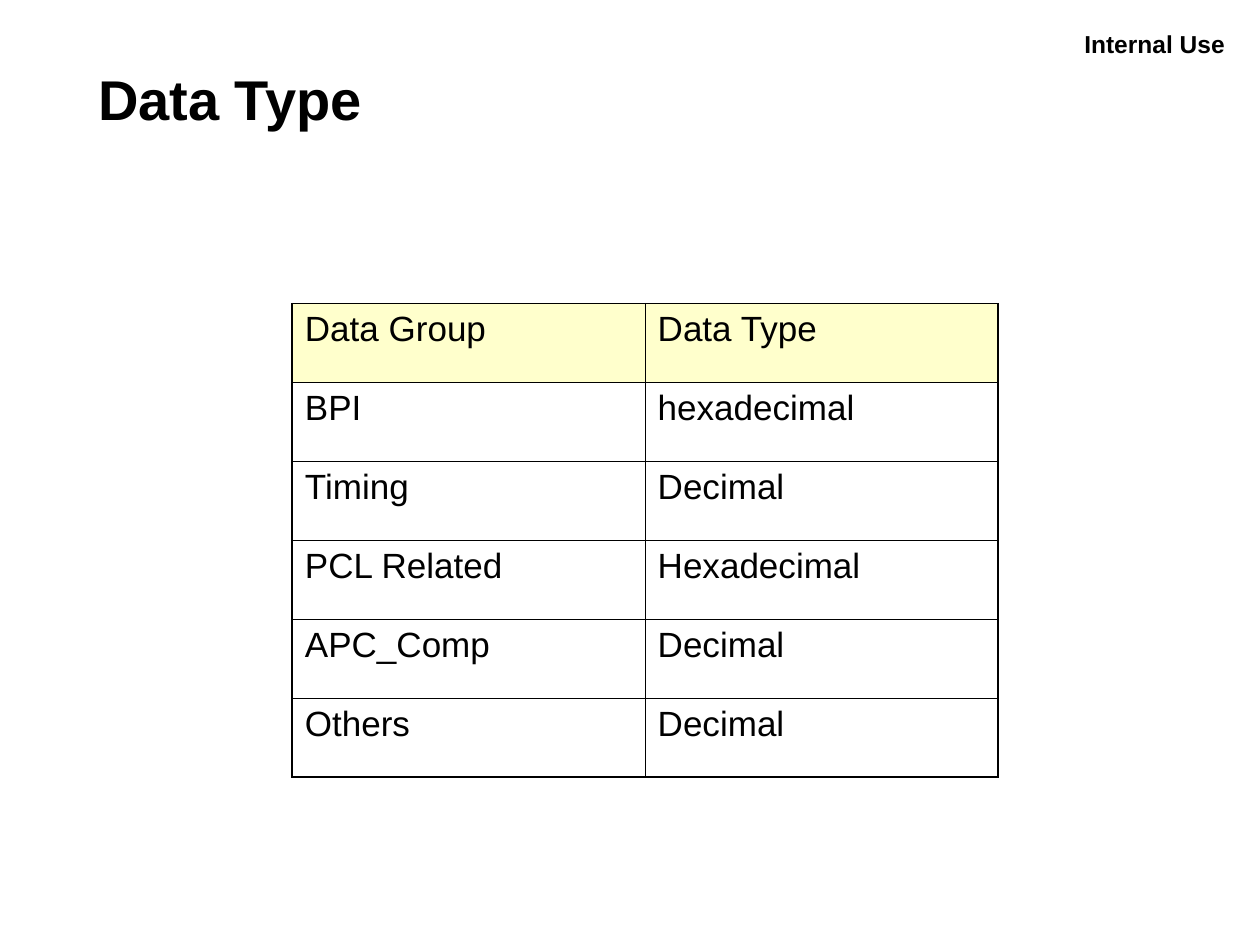
from pptx import Presentation
from pptx.dml.color import RGBColor
from pptx.enum.text import MSO_ANCHOR as Anchor, PP_ALIGN as Align
from pptx.oxml.ns import qn
from pptx.util import Inches, Pt
from lxml.etree import SubElement

# Content
LABEL = "Internal Use"
TITLE = "Data Type"
ROWS = [
    ("Data Group", "Data Type"),
    ("BPI", "hexadecimal"),
    ("Timing", "Decimal"),
    ("PCL Related", "Hexadecimal"),
    ("APC_Comp", "Decimal"),
    ("Others", "Decimal"),
]

# Style
FONT = "Arial"
BLACK = RGBColor(0x00, 0x00, 0x00)
HEADER_FILL = RGBColor(0xFF, 0xFF, 0xCC)
OUTER, INNER = Pt(1.08), Pt(0.45)
TABLE_LEFT, TABLE_TOP, TABLE_WIDTH, TABLE_HEIGHT = 2.32, 2.41, 5.6, 3.76


def write(frame, text, size, bold=False, align=Align.LEFT):
    para = frame.paragraphs[0]
    para.alignment = align
    span = para.add_run()
    span.text = text
    span.font.name = FONT
    span.font.size = Pt(size)
    span.font.bold = bold
    span.font.color.rgb = BLACK


def add_text(page, text, place, anchor=Anchor.TOP, **style):
    box = page.shapes.add_textbox(*(Inches(value) for value in place))
    box.text_frame.word_wrap = True
    box.text_frame.vertical_anchor = anchor
    write(box.text_frame, text, **style)


def set_borders(cell, widths):
    properties = cell._tc.get_or_add_tcPr()
    for side, width in widths.items():
        line = SubElement(properties, qn(f"a:ln{side}"), w=str(width))
        fill = SubElement(line, qn("a:solidFill"))
        SubElement(fill, qn("a:srgbClr"), val=str(BLACK))


def add_data_table(page):
    last_row, last_column = len(ROWS) - 1, len(ROWS[0]) - 1
    table = page.shapes.add_table(
        len(ROWS), len(ROWS[0]), Inches(TABLE_LEFT), Inches(TABLE_TOP),
        Inches(TABLE_WIDTH), Inches(TABLE_HEIGHT)).table
    table.horz_banding = False
    for i, row in enumerate(ROWS):
        for j, text in enumerate(row):
            cell = table.cell(i, j)
            write(cell.text_frame, text, size=20)
            # Heavy frame outside, thin rules inside
            set_borders(cell, {
                "L": OUTER if j == 0 else INNER,
                "R": OUTER if j == last_column else INNER,
                "T": OUTER if i == 0 else INNER,
                "B": OUTER if i == last_row else INNER,
            })
            if i == 0:
                cell.fill.solid()
                cell.fill.fore_color.rgb = HEADER_FILL
            else:
                cell.fill.background()


def main():
    deck = Presentation()
    deck.slide_width, deck.slide_height = Inches(10), Inches(7.5)
    page = deck.slides.add_slide(deck.slide_layouts[6])

    # Label and title
    add_text(page, LABEL, (8.28, 0.18, 1.54, 0.34),
             size=14, bold=True, align=Align.RIGHT)
    add_text(page, TITLE, (0.68, 0.42, 8.81, 0.72),
             anchor=Anchor.MIDDLE, size=32, bold=True)

    add_data_table(page)
    deck.save("out.pptx")


if __name__ == "__main__":
    main()
